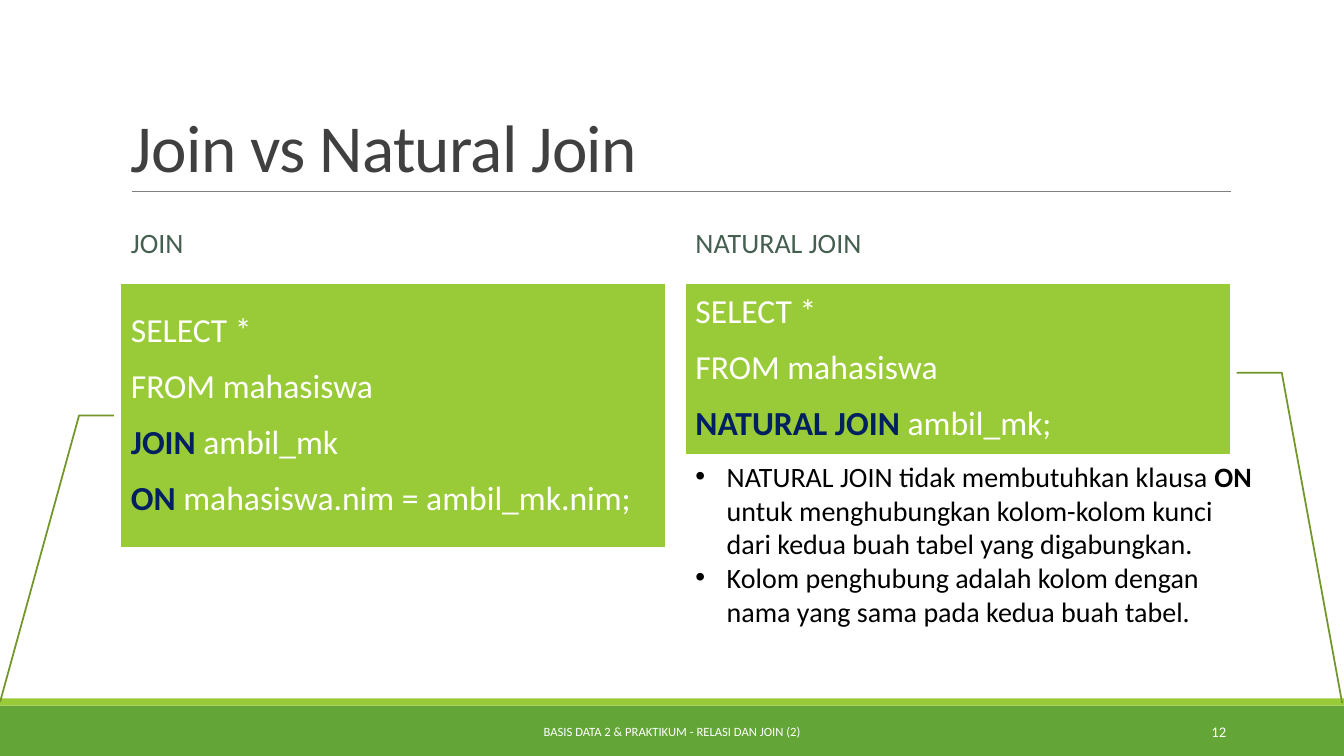
import pptx
import pptx.util
import pptx.dml.color
import pptx.enum.shapes
import pptx.enum.text
import pptx.oxml.ns
from lxml import etree

Inches = pptx.util.Inches
Pt = pptx.util.Pt
Shape = pptx.enum.shapes.MSO_SHAPE
Anchor = pptx.enum.text.MSO_ANCHOR
Align = pptx.enum.text.PP_ALIGN

GREEN, LIME, LEAF = "63A537", "99CB38", "719629"
WHITE, NAVY, SLATE = "FFFFFF", "002060", "455F51"


def color(code):
    return pptx.dml.color.RGBColor.from_string(code)


class Deck:
    font = "Calibri"

    def __init__(self, slide):
        self.slide = slide
        self.shapes = slide.shapes

    def place(self, kind, box, fill):
        """Add a filled preset shape without line or shadow."""
        shape = self.shapes.add_shape(kind, *map(Inches, box))
        shape.shadow.inherit = False
        shape.fill.solid()
        shape.fill.fore_color.rgb = color(fill)
        shape.line.fill.background()
        return shape

    def rule(self, left, right, top):
        line = self.shapes.add_connector(
            pptx.enum.shapes.MSO_CONNECTOR.STRAIGHT,
            Inches(left), Inches(top), Inches(right), Inches(top))
        line.line.color.rgb = color("808080")
        line.line.width = Pt(0.5)
        etree.SubElement(line._element.spPr, pptx.oxml.ns.qn("a:effectLst"))

    def letter(self, shape, paras, size, anchor=Anchor.MIDDLE,
               align=Align.LEFT, lead=1.0, gaps=(0, 0), bullet=None, track=0):
        """Fill a shape with paragraphs, each a list of (text, colour, bold)."""
        frame = shape.text_frame
        frame.word_wrap = True
        frame.vertical_anchor = anchor
        for num, runs in enumerate(paras):
            para = frame.add_paragraph() if num else frame.paragraphs[0]
            para.alignment = align
            para.line_spacing = lead
            para.space_before, para.space_after = map(Pt, gaps)
            if bullet:
                props = para._p.get_or_add_pPr()
                props.set("marL", str(Inches(0.31)))
                props.set("indent", str(-Inches(0.31)))
                for tag, key, value in (("buFont", "typeface", "Arial"),
                                        ("buChar", "char", bullet)):
                    etree.SubElement(
                        props, pptx.oxml.ns.qn("a:" + tag)).set(key, value)
            for text, tint, bold in runs:
                run = para.add_run()
                run.text = text
                run.font.name = self.font
                run.font.size = Pt(size)
                run.font.bold = bold
                run.font.color.rgb = color(tint)
                if track:
                    run._r.get_or_add_rPr().set("spc", str(track))

    def text(self, box, paras, size, **style):
        self.letter(self.shapes.add_textbox(*map(Inches, box)),
                    paras, size, **style)

    def query(self, box, leader, lines):
        """Add an SQL callout; leader lists y, x pairs as parts of the box."""
        shape = self.place(Shape.LINE_CALLOUT_2_NO_BORDER, box, LIME)
        shape.line.color.rgb = color(LEAF)
        shape.line.width = Pt(1.25)
        for num, value in enumerate(leader):
            shape.adjustments[num] = value
        paras = [[(word, NAVY, True), (rest, WHITE, False)] if word
                 else [(rest, WHITE, False)] for word, rest in lines]
        self.letter(shape, paras, 24, lead=0.9, gaps=(12, 2))


def main():
    show = pptx.Presentation()
    show.slide_width, show.slide_height = Inches(13.33), Inches(7.5)
    deck = Deck(show.slides.add_slide(show.slide_layouts[6]))

    deck.place(Shape.RECTANGLE, (0, 7, 13.33, 0.5), GREEN)
    deck.place(Shape.RECTANGLE, (0, 6.93, 13.33, 0.07), LIME)
    deck.rule(1.31, 12.21, 1.9)
    deck.text((1.2, 0.31, 11, 1.59),
              [[("Join vs Natural Join", "404040", False)]], 48,
              anchor=Anchor.BOTTOM, lead=0.85, track=-50)

    start = [("", "SELECT *"), ("", "FROM mahasiswa")]
    sides = [
        ("JOIN", 1.2, 2.61, (0.499, -0.013, 0.499, -0.077, 1.587, -0.222),
         [("JOIN", " ambil_mk"), ("ON ", "mahasiswa.nim = ambil_mk.nim;")]),
        ("NATURAL JOIN", 6.8, 1.68, (0.522, 1.012, 0.522, 1.095, 2.473, 1.206),
         [("NATURAL JOIN", " ambil_mk;")]),
    ]
    for head, left, high, leader, rest in sides:
        deck.text((left, 2.02, 5.4, 0.81), [[(head, SLATE, False)]], 20,
                  lead=0.9, gaps=(12, 2))
        deck.query((left, 2.82, 5.4, high), leader, start + rest)

    black = "000000"
    deck.text((6.8, 4.51, 5.74, 1.78), [
        [("NATURAL JOIN tidak membutuhkan klausa ", black, False),
         ("ON", black, True),
         (" untuk menghubungkan kolom-kolom kunci dari kedua buah tabel "
          "yang digabungkan.", black, False)],
        [("Kolom penghubung adalah kolom dengan nama yang sama pada kedua "
          "buah tabel.", black, False)],
    ], 20, anchor=Anchor.TOP, bullet="•")

    deck.text((4.03, 7.06, 5.27, 0.4),
              [[("BASIS DATA 2 & PRAKTIKUM - RELASI DAN JOIN (2)",
                 WHITE, False)]], 9, align=Align.CENTER)
    deck.text((10.83, 7.06, 1.43, 0.4), [[("12", WHITE, False)]], 10.5,
              align=Align.RIGHT)
    show.save("out.pptx")


if __name__ == "__main__":
    main()
